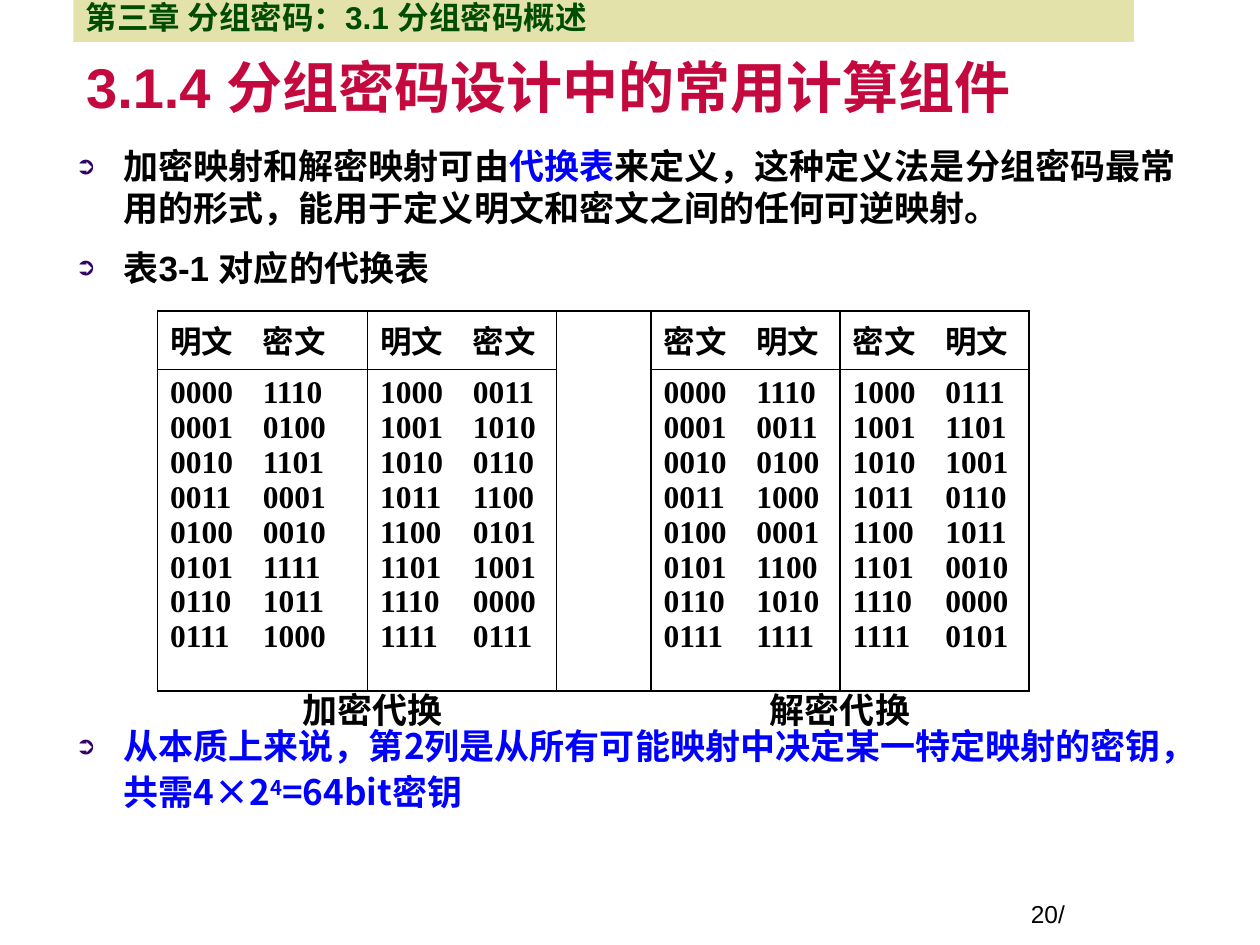
from dataclasses import dataclass

from lxml import etree
from pptx import Presentation
from pptx.dml.color import RGBColor
from pptx.enum.shapes import MSO_SHAPE
from pptx.enum.text import MSO_ANCHOR, MSO_AUTO_SIZE, PP_ALIGN
from pptx.oxml.ns import qn
from pptx.util import Pt

RECTANGLE = MSO_SHAPE.RECTANGLE
TOP, BOTTOM = MSO_ANCHOR.TOP, MSO_ANCHOR.BOTTOM
LEFT, CENTER = PP_ALIGN.LEFT, PP_ALIGN.CENTER
NO_AUTOFIT = MSO_AUTO_SIZE.NONE

COLORS = {
    "title": "C3093E",
    "banner": "E2E2AA",
    "banner_text": "004C00",
    "bullet": "330066",
    "key": "0000FF",
    "text": "000000",
}
SANS, CJK, SERIF = "Arial", "Noto Sans CJK SC", "Times New Roman"


@dataclass
class Style:
    size: float
    color: str = "text"
    font: str = SANS
    bold: bool = True


@dataclass
class Box:
    left: float
    top: float
    width: float
    height: float

    def lengths(self) -> tuple:
        return Pt(self.left), Pt(self.top), Pt(self.width), Pt(self.height)


@dataclass
class Piece:
    text: str
    color: str = "text"
    font: str = SANS
    baseline: int = 0


@dataclass
class Point:
    pieces: list[Piece]
    space_before: float
    line_height: float


@dataclass
class Substitution:
    """One table column: its heading pair, first input and the outputs in order."""
    column: int
    heading: tuple[str, str]
    first_input: int
    outputs: str


POINTS = [
    Point([Piece("加密映射和解密映射可由"), Piece("代换表", "key"),
           Piece("来定义，这种定义法是分组密码最常用的形式，能用于定义明文和密文之间的任何可逆映射。")], 0, 24),
    Point([Piece("表3-1 对应的代换表")], 8, 24),
    Point([Piece("从本质上来说，第2列是从所有可能映射中决定某一特定映射的密钥，共需4×2", "key", CJK),
           Piece("4", "key", CJK, 30000), Piece("=64bit密钥", "key", CJK)], 245, 26.4),
]
ENCRYPT, DECRYPT = ("明文", "密文"), ("密文", "明文")
# Each hexadecimal digit stands for one four-bit output block.
SUBSTITUTIONS = [
    Substitution(0, ENCRYPT, 0, "E4D12FB8"),
    Substitution(1, ENCRYPT, 8, "3A6C5907"),
    Substitution(3, DECRYPT, 0, "E3481CAF"),
    Substitution(4, DECRYPT, 8, "7D96B205"),
]
COLUMN_WIDTHS = [120, 108, 54, 108, 108]
ROW_HEIGHTS = [33.6, 183.6]
GAP_COLUMN = 2
TABLE_LEFT, TABLE_TOP = 90, 177.6
PAIR_TAB = 53
CAPTIONS = {"加密代换": Box(156, 390, 114, 31), "解密代换": Box(414, 390, 132, 31)}


def rgb(name: str) -> RGBColor:
    return RGBColor.from_string(COLORS[name])


def format_run(run, style: Style) -> None:
    run.font.size = Pt(style.size)
    run.font.bold = style.bold
    run.font.color.rgb = rgb(style.color)
    run.font.name = style.font
    etree.SubElement(run.font._element, qn("a:ea"), typeface=CJK)


def write(frame, text: str, style: Style, anchor=TOP, align=LEFT) -> None:
    frame.text = text
    frame.word_wrap = True
    frame.auto_size = NO_AUTOFIT
    frame.vertical_anchor = anchor
    for paragraph in frame.paragraphs:
        paragraph.alignment = align
        for run in paragraph.runs:
            format_run(run, style)


def place(shape, box: Box) -> None:
    shape.left, shape.top, shape.width, shape.height = box.lengths()


def add_label(slide, box: Box, text: str, style: Style, anchor=TOP, align=LEFT) -> None:
    write(slide.shapes.add_textbox(*box.lengths()).text_frame, text, style, anchor, align)


def add_bullet(paragraph) -> None:
    properties = paragraph._p.get_or_add_pPr()
    properties.set("marL", str(Pt(27.36)))
    properties.set("indent", str(-Pt(27.36)))
    color = etree.SubElement(properties, qn("a:buClr"))
    etree.SubElement(color, qn("a:srgbClr"), val=COLORS["bullet"])
    etree.SubElement(properties, qn("a:buSzPct"), val="70000")
    etree.SubElement(properties, qn("a:buChar"), char="➲")


def fill_body(frame) -> None:
    frame.auto_size = NO_AUTOFIT
    frame.vertical_anchor = TOP
    for index, point in enumerate(POINTS):
        paragraph = frame.add_paragraph() if index else frame.paragraphs[0]
        add_bullet(paragraph)
        paragraph.space_before = Pt(point.space_before)
        paragraph.space_after = Pt(2)
        paragraph.line_spacing = Pt(point.line_height)
        for piece in point.pieces:
            run = paragraph.add_run()
            run.text = piece.text
            format_run(run, Style(20, piece.color, piece.font))
            if piece.baseline:
                run.font._element.set("baseline", str(piece.baseline))


def add_borders(cell) -> None:
    properties = cell._tc.get_or_add_tcPr()
    for position, side in enumerate(("lnL", "lnR", "lnT", "lnB")):
        line = etree.Element(qn(f"a:{side}"), w=str(Pt(1)))
        fill = etree.SubElement(line, qn("a:solidFill"))
        etree.SubElement(fill, qn("a:srgbClr"), val=COLORS["text"])
        properties.insert(position, line)


def fill_pairs(cell, pairs: list[tuple[str, str]]) -> None:
    """Write one tab-separated pair of blocks per line."""
    write(cell.text_frame, "\n".join("\t".join(pair) for pair in pairs), Style(18, font=SERIF))
    for paragraph in cell.text_frame.paragraphs:
        tabs = etree.SubElement(paragraph._p.get_or_add_pPr(), qn("a:tabLst"))
        etree.SubElement(tabs, qn("a:tab"), pos=str(Pt(PAIR_TAB)), algn="l")
        if len(pairs) > 1:
            paragraph.line_spacing = Pt(19.9)


def add_substitution_table(slide) -> None:
    box = Box(TABLE_LEFT, TABLE_TOP, sum(COLUMN_WIDTHS), sum(ROW_HEIGHTS))
    table = slide.shapes.add_table(len(ROW_HEIGHTS), len(COLUMN_WIDTHS), *box.lengths()).table
    for column, width in zip(table.columns, COLUMN_WIDTHS):
        column.width = Pt(width)
    for row, height in zip(table.rows, ROW_HEIGHTS):
        row.height = Pt(height)
    for cell in table.iter_cells():
        cell.fill.background()
        add_borders(cell)
    table.cell(0, GAP_COLUMN).merge(table.cell(1, GAP_COLUMN))
    for part in SUBSTITUTIONS:
        fill_pairs(table.cell(0, part.column), [part.heading])
        fill_pairs(table.cell(1, part.column),
                   [(f"{value:04b}", f"{int(digit, 16):04b}")
                    for value, digit in enumerate(part.outputs, part.first_input)])


def add_banner(slide) -> None:
    banner = slide.shapes.add_shape(RECTANGLE, *Box(42, 0, 606, 24).lengths())
    banner.shadow.inherit = False
    banner.fill.solid()
    banner.fill.fore_color.rgb = rgb("banner")
    banner.line.fill.background()
    write(banner.text_frame, "第三章 分组密码：3.1 分组密码概述", Style(18, "banner_text"), BOTTOM)


def main() -> None:
    deck = Presentation()
    deck.slide_width, deck.slide_height = Pt(720), Pt(540)
    slide = deck.slides.add_slide(deck.slide_layouts[1])
    title, body = slide.placeholders
    place(title, Box(42, 30, 606, 42))
    write(title.text_frame, "3.1.4 分组密码设计中的常用计算组件", Style(32, "title"), BOTTOM)
    place(body, Box(36, 79, 648, 432))
    fill_body(body.text_frame)
    add_label(slide, Box(582, 510, 102, 24), "20/", Style(14, bold=False))
    add_banner(slide)
    add_substitution_table(slide)
    for caption, box in CAPTIONS.items():
        add_label(slide, box, caption, Style(20), BOTTOM, CENTER)
    deck.save("out.pptx")


if __name__ == "__main__":
    main()
